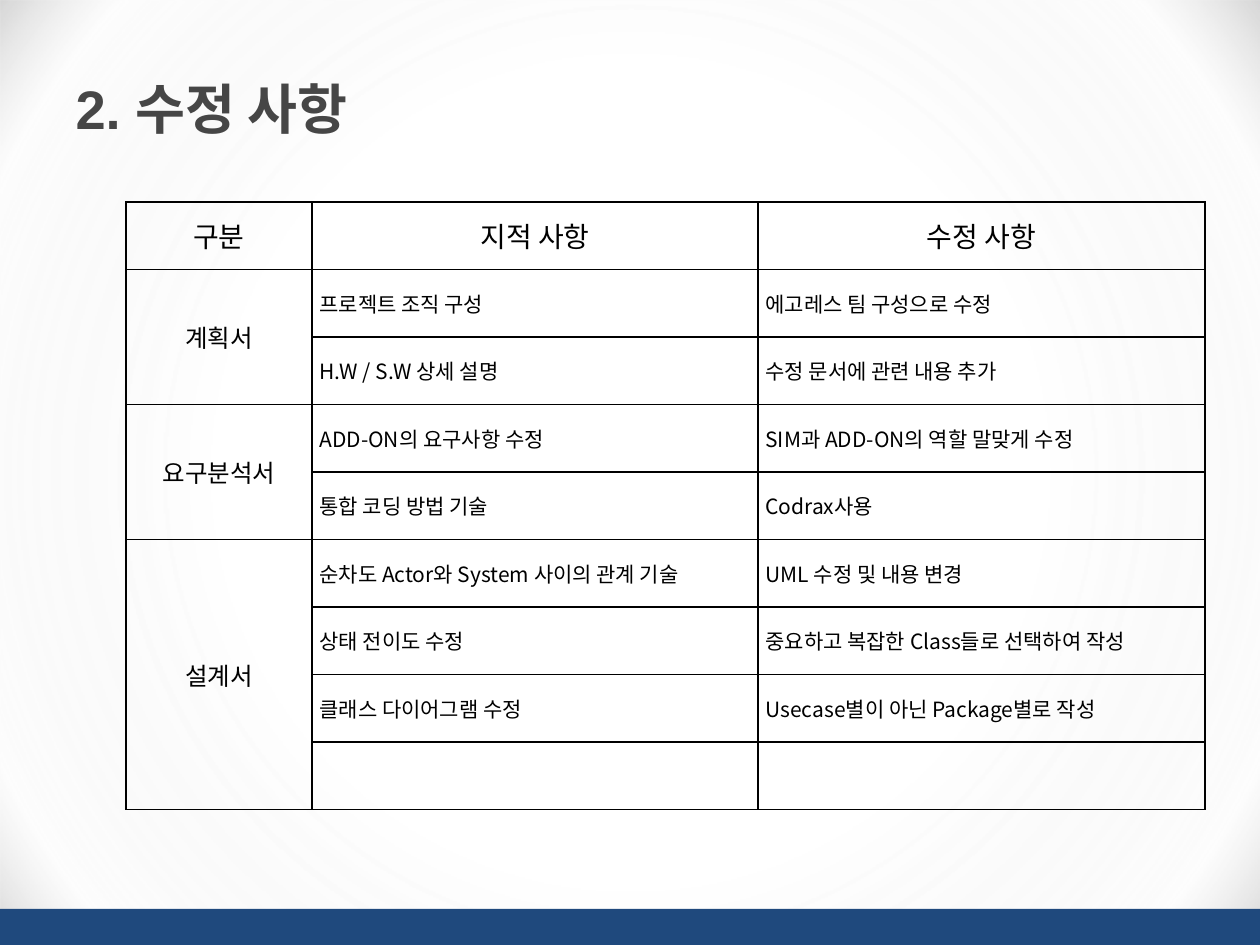
from dataclasses import dataclass

from lxml import etree
from pptx import Presentation
from pptx import util as u
from pptx.dml.color import RGBColor
from pptx.enum import shapes, text
from pptx.oxml import parse_xml
from pptx.oxml.ns import nsdecls, qn

PX = 914400 / 126


@dataclass(frozen=True)
class Theme:
    title_font: str = "Arial"
    body_font: str = "Noto Sans CJK KR"
    title_color: str = "464646"
    ink: str = "000000"
    band: str = "1F497D"
    glow: tuple = ((52, "FFFFFF", 100), (88, "F2F2F2", 16), (100, "595959", 25))
    title_size: int = 31
    head_size: int = 16
    group_size: int = 14
    item_size: int = 12
    border: int = 1


THEME = Theme()
HEADINGS = ("구분", "지적 사항", "수정 사항")
GROUPS = (
    ("계획서", (
        ("프로젝트 조직 구성", "에고레스 팀 구성으로 수정"),
        ("H.W / S.W 상세 설명", "수정 문서에 관련 내용 추가"),
    )),
    ("요구분석서", (
        ("ADD-ON의 요구사항 수정", "SIM과 ADD-ON의 역할 말맞게 수정"),
        ("통합 코딩 방법 기술", "Codrax사용"),
    )),
    ("설계서", (
        ("순차도 Actor와 System 사이의 관계 기술", "UML 수정 및 내용 변경"),
        ("상태 전이도 수정", "중요하고 복잡한 Class들로 선택하여 작성"),
        ("클래스 다이어그램 수정", "Usecase별이 아닌 Package별로 작성"),
        ("", ""),
    )),
)


def px(value):
    return u.Emu(round(value * PX))


def apply_format(target, values):
    for name, value in values.items():
        setattr(target, name, value)


def write(para, words, font, size, color, bold=False):
    span = para.add_run()
    span.text = words
    apply_format(span.font, {"name": font, "size": u.Pt(size), "bold": bold})
    span.font.color.rgb = RGBColor.from_string(color)
    east_asian = etree.SubElement(span.font._element, qn("a:ea"))
    east_asian.set("typeface", THEME.body_font)


def add_panel(page, left, top, width, height):
    panel = page.shapes.add_shape(
        shapes.MSO_SHAPE.RECTANGLE, px(left), px(top), px(width), px(height))
    panel.shadow.inherit = False
    panel.line.fill.background()
    return panel


def fill_radial(panel, stops):
    panel.fill.background()
    marks = "".join(
        f'<a:gs pos="{place * 1000}"><a:srgbClr val="{color}">'
        f'<a:alpha val="{alpha * 1000}"/></a:srgbClr></a:gs>'
        for place, color, alpha in stops)
    gradient = parse_xml(
        f'<a:gradFill {nsdecls("a")} rotWithShape="1"><a:gsLst>{marks}</a:gsLst>'
        '<a:path path="circle"><a:fillToRect l="50000" t="50000" r="50000" b="50000"/>'
        '</a:path></a:gradFill>')
    properties = panel._element.spPr
    properties.replace(properties.find(qn("a:noFill")), gradient)


def add_background(page):
    fill_radial(add_panel(page, 0, 0, 1260, 945), THEME.glow)
    band = add_panel(page, 0, 909, 1260, 36)
    band.fill.solid()
    band.fill.fore_color.rgb = RGBColor.from_string(THEME.band)


def add_title(page, words):
    title = page.shapes.title
    apply_format(title, {"left": px(63), "top": px(45),
                         "width": px(1134), "height": px(87)})
    apply_format(title.text_frame, {
        "word_wrap": True, "auto_size": text.MSO_AUTO_SIZE.NONE,
        "vertical_anchor": text.MSO_ANCHOR.MIDDLE})
    para = title.text_frame.paragraphs[0]
    apply_format(para, {"alignment": text.PP_ALIGN.LEFT, "line_spacing": 1.6})
    write(para, words, THEME.title_font, THEME.title_size, THEME.title_color, True)
    page.shapes._spTree.append(title._element)


def format_cell(cell):
    properties = cell._tc.get_or_add_tcPr()
    for side in ("lnL", "lnR", "lnT", "lnB"):
        properties.append(parse_xml(
            f'<a:{side} {nsdecls("a")} w="{u.Pt(THEME.border)}"><a:solidFill>'
            f'<a:srgbClr val="{THEME.ink}"/></a:solidFill></a:{side}>'))
    cell.fill.background()
    apply_format(cell, {
        "margin_left": u.Inches(0.06), "margin_right": u.Inches(0.06),
        "margin_top": 0, "margin_bottom": 0,
        "vertical_anchor": text.MSO_ANCHOR.MIDDLE})


def write_cell(cell, words, size, alignment=text.PP_ALIGN.CENTER):
    para = cell.text_frame.paragraphs[0]
    para.alignment = alignment
    if words:
        write(para, words, THEME.body_font, size, THEME.ink)


def add_revision_table(page):
    row_count = 1 + sum(len(items) for _, items in GROUPS)
    widths, height = (186, 446, 447), 608
    table = page.shapes.add_table(
        row_count, len(widths), px(126), px(202), px(sum(widths)), px(height)).table
    apply_format(table, {"first_row": False, "horz_banding": False})
    for column, width in zip(table.columns, widths):
        column.width = px(width)
    for row in table.rows:
        row.height = px(height / row_count)
    for cell in table.iter_cells():
        format_cell(cell)
    for index, heading in enumerate(HEADINGS):
        write_cell(table.cell(0, index), heading, THEME.head_size)
    start = 1
    for group, items in GROUPS:
        label = table.cell(start, 0)
        label.merge(table.cell(start + len(items) - 1, 0))
        write_cell(label, group, THEME.group_size)
        for row, item in enumerate(items, start):
            for column, words in enumerate(item, 1):
                write_cell(table.cell(row, column), words, THEME.item_size,
                           text.PP_ALIGN.JUSTIFY)
        start += len(items)


def main():
    deck = Presentation()
    apply_format(deck, {"slide_width": px(1260), "slide_height": px(945)})
    page = deck.slides.add_slide(deck.slide_layouts.get_by_name("Title Only"))
    add_background(page)
    add_revision_table(page)
    add_title(page, "2. 수정 사항")
    deck.save("out.pptx")


if __name__ == "__main__":
    main()
